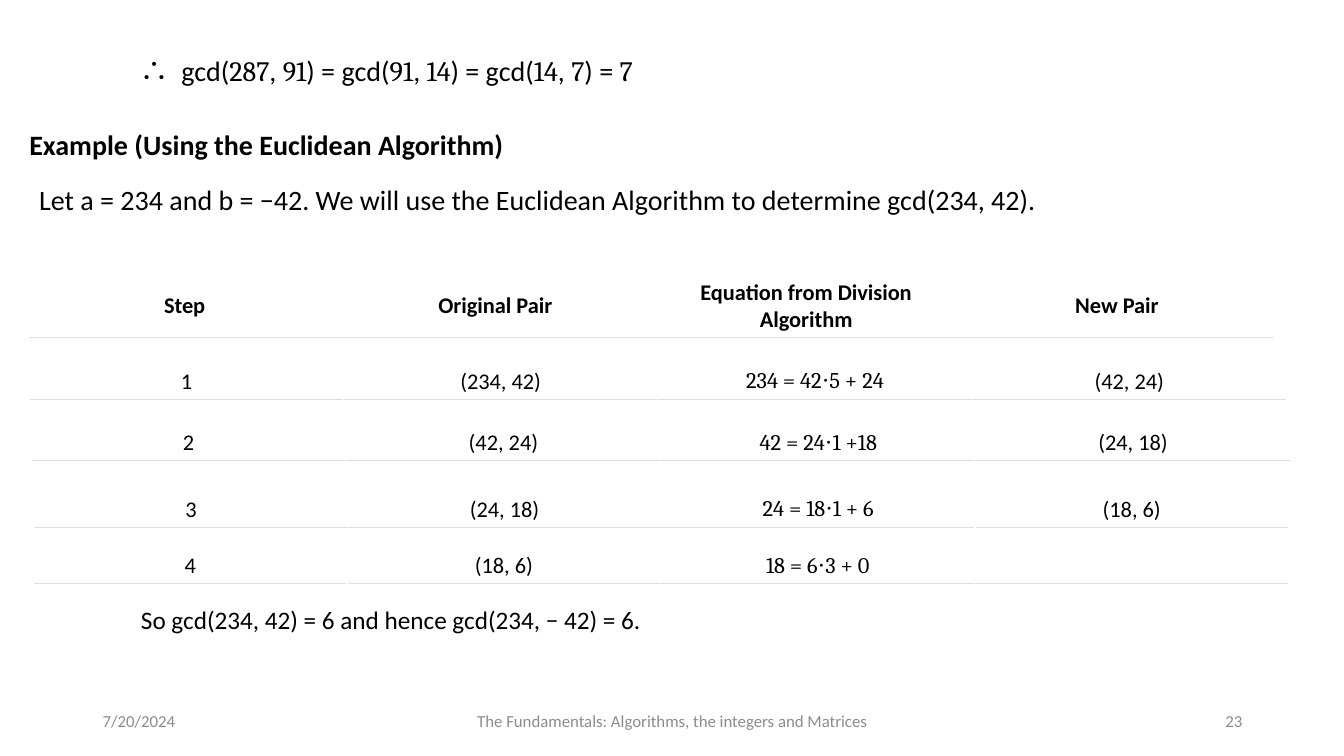
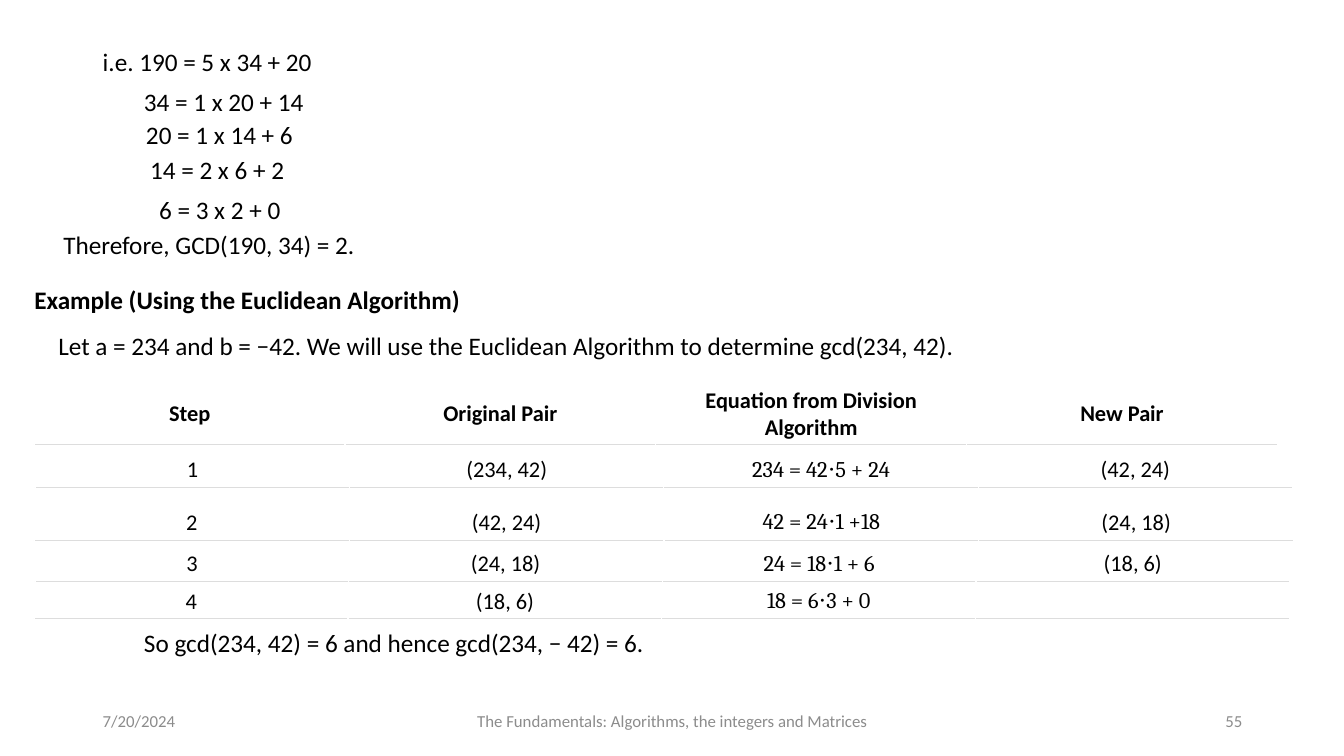
"""Build two slides on the Euclidean Algorithm with worked division steps."""
from itertools import groupby

from lxml import etree
from pptx import Presentation
from pptx.dml.color import RGBColor
from pptx.enum.text import MSO_ANCHOR as Anchor, MSO_AUTO_SIZE as AutoSize, PP_ALIGN as Align
from pptx.oxml.ns import qn
from pptx.util import Inches, Pt

BLACK = RGBColor(0x00, 0x00, 0x00)
GREY = RGBColor(0x8C, 0x8C, 0x8C)
RULE = RGBColor(0xDD, 0xDD, 0xDD)
BODY_FONT, MATH_FONT, SYMBOL_FONT = "Calibri", "Cambria", "Noto Sans CJK JP"

DATE = "7/20/2024"
FOOTER = "The Fundamentals: Algorithms, the integers and Matrices"
HEADING = "Example (Using the Euclidean Algorithm)"
PROBLEM = "Let\u00a0a = 234 and\u00a0b = −42. We will use the Euclidean Algorithm to determine gcd(234, 42)."
CONCLUSION = "So gcd(234, 42) = 6 and hence gcd(234, − 42) = 6."
GCD_CHAIN = "gcd(287, 91) = gcd(91, 14) = gcd(14, 7) = 7"

STEPS = [
    ("Step", "Original Pair", "Equation from Division Algorithm", "New Pair"),
    ("1", "(234, 42)", "234 = 42⋅5 + 24", "(42, 24)"),
    ("2", "(42, 24)", "42 = 24⋅1 +18", "(24, 18)"),
    ("3", "(24, 18)", "24 = 18⋅1 + 6", "(18, 6)"),
    ("4", "(18, 6)", "18 = 6⋅3 + 0", ""),
]
STEP_WIDTHS = [12.33, 12.47, 12.49, 12.44, 12.45]
EQUATION_COLUMN = 2

DIVISIONS = [
    ("i.e. 190 = 5 x 34 + 20", 0.92, 0.41),
    ("34 = 1 x 20 + 14", 1.33, 0.81),
    ("20 = 1 x 14 + 6", 1.35, 1.13),
    ("14 = 2 x 6 + 2", 1.39, 1.48),
    ("6 = 3 x 2 + 0", 1.48, 1.88),
    ("Therefore, GCD(190, 34) = 2.", 0.53, 2.23),
]

GCD_SLIDE = {
    "number": "23", "size": 20,
    "heading": (0.29, 1.19, 5, 0.41),
    "problem": (0.29, 1.76, 10.5, 0.44),
    "steps": [(0.29, 2.73), (0.29, 3.61), (0.31, 4.22), (0.34, 4.88), (0.33, 5.44)],
    "conclusion": (1.3, 5.95, 5.5, 0.4),
}
DIVISION_SLIDE = {
    "number": "55", "size": 18,
    "heading": (0.34, 2.75, 4.5, 0.37),
    "problem": (0.48, 3.23, 9.5, 0.4),
    "steps": [(0.34, 3.8), (0.35, 4.49), (0.34, 5.01), (0.35, 5.42), (0.34, 5.79)],
    "conclusion": (1.33, 6.17, 5.5, 0.4),
}


def style(paragraph, size, color=BLACK, font=BODY_FONT, bold=False, align=Align.LEFT):
    paragraph.alignment = align
    paragraph.font.size = Pt(size)
    paragraph.font.name = font
    paragraph.font.bold = bold
    paragraph.font.color.rgb = color


def add_text(slide, text, box, size, anchor=Anchor.TOP, **look):
    frame = slide.shapes.add_textbox(*map(Inches, box)).text_frame
    frame.word_wrap = True
    frame.vertical_anchor = anchor
    paragraph = frame.paragraphs[0]
    paragraph.text = text
    style(paragraph, size, **look)
    return paragraph


def add_heading(slide, box, size):
    title = slide.shapes.title
    title.left, title.top, title.width, title.height = map(Inches, box)
    frame = title.text_frame
    frame.text = HEADING
    frame.word_wrap = True
    frame.auto_size = AutoSize.NONE
    frame.vertical_anchor = Anchor.MIDDLE
    frame.margin_left = frame.margin_right = frame.margin_bottom = 0
    frame.margin_top = Inches(0.07)
    style(frame.paragraphs[0], size, bold=True)


def underline(cell):
    border = etree.Element(qn("a:lnB"), w=str(Pt(0.75)))
    fill = etree.SubElement(border, qn("a:solidFill"))
    etree.SubElement(fill, qn("a:srgbClr"), val=str(RULE))
    cell._tc.get_or_add_tcPr().insert(0, border)


def add_step(slide, values, left, top, width, is_header):
    height = 0.61 if is_header else 0.35
    table = slide.shapes.add_table(
        1, len(values), *map(Inches, (left, top, width, height))).table
    table.first_row = table.horz_banding = False
    for column, (cell, value) in enumerate(zip(table.rows[0].cells, values)):
        cell.fill.background()
        cell.vertical_anchor = Anchor.MIDDLE
        cell.margin_left = cell.margin_right = Inches(0.09)
        cell.margin_top = cell.margin_bottom = Inches(0.04)
        cell.text = value
        is_equation = column == EQUATION_COLUMN and not is_header
        style(cell.text_frame.paragraphs[0], 16, bold=is_header, align=Align.CENTER,
              font=MATH_FONT if is_equation else BODY_FONT)
        underline(cell)


def add_gcd_chain(slide):
    paragraph = add_text(slide, "", (0.8, 0.48, 6.23, 0.44), 20)
    properties = paragraph._p.get_or_add_pPr()
    properties.set("marL", str(Inches(0.9)))
    properties.set("indent", str(Inches(-0.4)))
    therefore = paragraph.add_run()
    therefore.text = "∴"
    therefore.font.name = SYMBOL_FONT
    for is_number, letters in groupby("\t" + GCD_CHAIN, str.isdigit):
        run = paragraph.add_run()
        run.text = "".join(letters)
        run.font.name = MATH_FONT if is_number else BODY_FONT


def add_divisions(slide):
    for text, left, top in DIVISIONS:
        add_text(slide, text, (left, top, 3.3, 0.4), 18)


def add_example(deck, plan, add_opening):
    slide = deck.slides.add_slide(deck.slide_layouts[5])
    footers = [(DATE, 0.92, 3, Align.LEFT), (FOOTER, 4.42, 4.5, Align.CENTER),
               (plan["number"], 9.42, 3, Align.RIGHT)]
    for text, left, width, align in footers:
        add_text(slide, text, (left, 6.95, width, 0.4), 12, Anchor.MIDDLE,
                 color=GREY, align=align)
    add_opening(slide)
    add_heading(slide, plan["heading"], plan["size"])
    add_text(slide, PROBLEM, plan["problem"], plan["size"], Anchor.MIDDLE, align=Align.JUSTIFY)
    for index, (values, (left, top), width) in enumerate(zip(STEPS, plan["steps"], STEP_WIDTHS)):
        add_step(slide, values, left, top, width, is_header=index == 0)
    add_text(slide, CONCLUSION, plan["conclusion"], 18)


def main():
    deck = Presentation()
    deck.slide_width, deck.slide_height = Inches(13.33), Inches(7.5)
    add_example(deck, GCD_SLIDE, add_gcd_chain)
    add_example(deck, DIVISION_SLIDE, add_divisions)
    deck.save("out.pptx")


if __name__ == "__main__":
    main()
